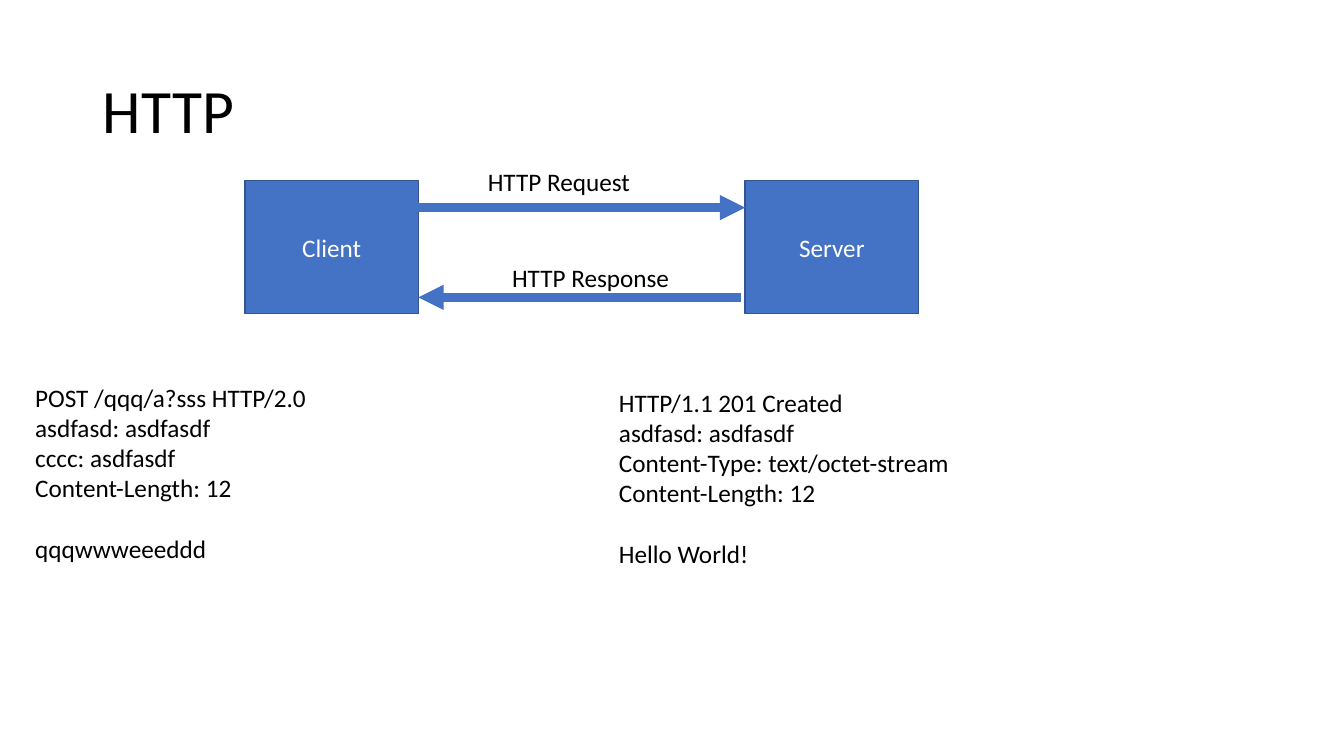
from dataclasses import dataclass

from pptx import Presentation
from pptx.dml.color import RGBColor
from pptx.enum.shapes import MSO_CONNECTOR, MSO_SHAPE
from pptx.enum.text import MSO_ANCHOR, MSO_AUTO_SIZE, PP_ALIGN
from pptx.oxml.ns import qn
from pptx.slide import Slide
from pptx.text.text import TextFrame
from pptx.util import Inches, Pt
from lxml import etree

RECTANGLE = MSO_SHAPE.RECTANGLE
STRAIGHT = MSO_CONNECTOR.STRAIGHT
MIDDLE = MSO_ANCHOR.MIDDLE
CENTER = PP_ALIGN.CENTER
LEFT = PP_ALIGN.LEFT
NO_AUTOFIT = MSO_AUTO_SIZE.NONE

COLORS = {
    "text": "000000",
    "host_text": "FFFFFF",
    "host": "4472C4",
    "host_border": "325491",
    "arrow": "4472C4",
}
FONT = "Calibri"
BODY_SIZE = 18
TITLE_SIZE = 44
BLANK_LINE = Pt(22)

HOST_TOP, HOST_WIDTH, HOST_HEIGHT = 1.79, 1.72, 1.32
CLIENT_LEFT, SERVER_LEFT = 2.43, 7.39
CLIENT_RIGHT = CLIENT_LEFT + HOST_WIDTH


@dataclass
class Host:
    name: str
    left: float


@dataclass
class Arrow:
    start: float
    end: float
    y: float


@dataclass
class Message:
    lines: list[str]
    left: float
    top: float
    width: float
    height: float
    body: str = ""


HOSTS = [Host("Client", CLIENT_LEFT), Host("Server", SERVER_LEFT)]
ARROWS = [
    Arrow(CLIENT_RIGHT, SERVER_LEFT, 2.06),
    Arrow(7.35, CLIENT_RIGHT, 2.95),
]
MESSAGES = [
    Message(["HTTP Request"], 4.74, 1.6, 1.63, 0.4),
    Message(["HTTP Response"], 4.98, 2.55, 1.78, 0.4),
    Message(
        ["POST /qqq/a?sss HTTP/2.0", "asdfasd: asdfasdf", "cccc: asdfasdf", "Content-Length: 12"],
        0.25, 3.74, 2.92, 1.92, "qqqwwweeeddd",
    ),
    Message(
        ["HTTP/1.1 201 Created", "asdfasd: asdfasdf", "Content-Type: text/octet-stream", "Content-Length: 12"],
        6.04, 3.79, 3.52, 1.92, "Hello World!",
    ),
]


def rgb(name: str) -> RGBColor:
    return RGBColor.from_string(COLORS[name])


def format_text(frame: TextFrame, size: int, color: str) -> None:
    for paragraph in frame.paragraphs:
        for run in paragraph.runs:
            run.font.name = FONT
            run.font.size = Pt(size)
            run.font.color.rgb = rgb(color)


def draw_title(slide: Slide, heading: str) -> None:
    title = slide.shapes.title
    title.left, title.top = Inches(0.92), Inches(0.4)
    title.width, title.height = Inches(11.5), Inches(1.45)
    frame = title.text_frame
    frame.text = heading
    frame.auto_size = NO_AUTOFIT
    frame.vertical_anchor = MIDDLE
    frame.paragraphs[0].alignment = LEFT
    frame.paragraphs[0].line_spacing = 0.9
    format_text(frame, TITLE_SIZE, "text")


def draw_host(slide: Slide, host: Host) -> None:
    box = slide.shapes.add_shape(
        RECTANGLE, Inches(host.left), Inches(HOST_TOP), Inches(HOST_WIDTH), Inches(HOST_HEIGHT)
    )
    box.shadow.inherit = False
    box.fill.solid()
    box.fill.fore_color.rgb = rgb("host")
    box.line.color.rgb = rgb("host_border")
    box.line.width = Pt(1)
    frame = box.text_frame
    frame.text = host.name
    frame.vertical_anchor = MIDDLE
    frame.paragraphs[0].alignment = CENTER
    format_text(frame, BODY_SIZE, "host_text")


def draw_arrow(slide: Slide, arrow: Arrow) -> None:
    connector = slide.shapes.add_connector(
        STRAIGHT, Inches(arrow.start), Inches(arrow.y), Inches(arrow.end), Inches(arrow.y)
    )
    connector.line.color.rgb = rgb("arrow")
    connector.line.width = Pt(6)
    etree.SubElement(connector.line._get_or_add_ln(), qn("a:tailEnd"), type="triangle")
    etree.SubElement(connector._element.spPr, qn("a:effectLst"))


def draw_message(slide: Slide, message: Message) -> None:
    frame = slide.shapes.add_textbox(
        Inches(message.left), Inches(message.top), Inches(message.width), Inches(message.height)
    ).text_frame
    frame.word_wrap = False
    frame.text = "\n".join(message.lines)
    if message.body:
        body = frame.add_paragraph()
        body.text = message.body
        body.space_before = BLANK_LINE
    format_text(frame, BODY_SIZE, "text")


def main() -> None:
    presentation = Presentation()
    presentation.slide_width = Inches(13.33)
    presentation.slide_height = Inches(7.5)
    slide = presentation.slides.add_slide(presentation.slide_layouts[5])
    draw_title(slide, "HTTP")
    for host in HOSTS:
        draw_host(slide, host)
    for arrow in ARROWS:
        draw_arrow(slide, arrow)
    for message in MESSAGES:
        draw_message(slide, message)
    presentation.save("out.pptx")


if __name__ == "__main__":
    main()
